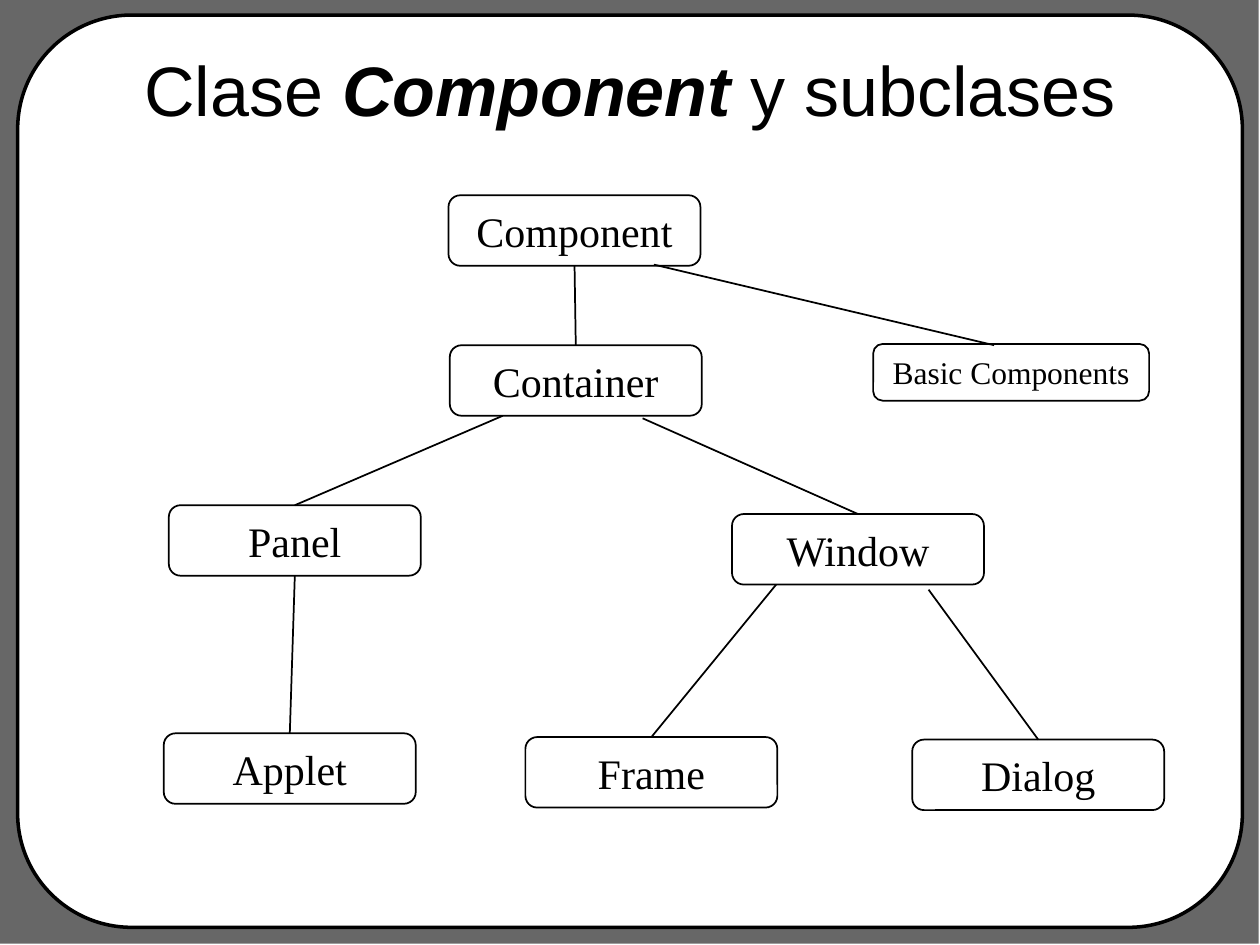
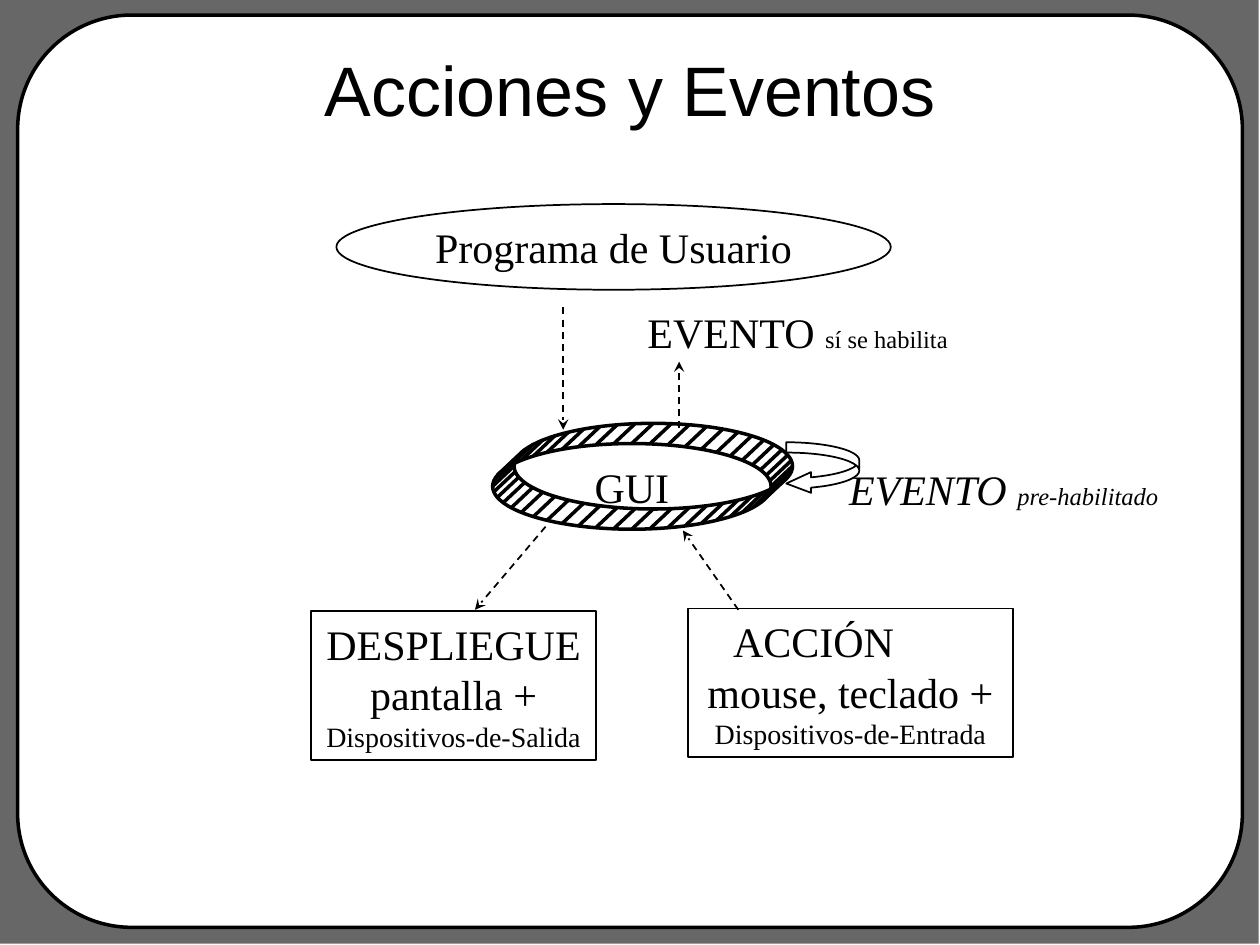
import math
from dataclasses import dataclass

import pptx
import pptx.dml.color
import pptx.enum.dml
import pptx.enum.shapes
import pptx.enum.text
import pptx.oxml
import pptx.oxml.ns
import pptx.util

Inches = pptx.util.Inches
Pt = pptx.util.Pt
SHAPE = pptx.enum.shapes.MSO_SHAPE
ALIGN = pptx.enum.text.PP_ALIGN
ANCHOR = pptx.enum.text.MSO_ANCHOR
TOP, BOTTOM = 0, 2  # connection sites


@dataclass(frozen=True)
class Theme:
    ink: str = "000000"
    paper: str = "FFFFFF"
    border: str = "676767"
    title_font: str = "Arial"
    body_font: str = "Times New Roman"
    title: int = 40
    body: int = 24
    label: int = 18
    detail: int = 16
    note: int = 14
    thin: float = 1
    thick: float = 2


def rgb(value):
    return pptx.dml.color.RGBColor.from_string(value)


def add_xml(parent, tag, **attributes):
    child = pptx.oxml.parse_xml(f"<a:{tag} {pptx.oxml.ns.nsdecls('a')}/>")
    for key, value in attributes.items():
        child.set(key, value)
    parent.append(child)
    return child


def write(paragraph, text, font, size, color, bold=False, italic=False):
    run = paragraph.add_run()
    run.text = text
    run.font.name = font
    run.font.size = Pt(size)
    run.font.bold = bold
    run.font.italic = italic
    run.font.color.rgb = rgb(color)


class Deck:
    def __init__(self, theme):
        self.theme = theme
        self.file = pptx.Presentation()
        self.file.slide_width, self.file.slide_height = Inches(10), Inches(7.5)
        self.slide = None

    def new_slide(self, *title_runs):
        """Start a slide; each title run is (text, emphasised)."""
        first = self.slide is None
        self.slide = self.file.slides.add_slide(self.file.slide_layouts[5])
        if first:
            self.frame_master()
        title = self.slide.shapes.title
        title.left, title.top = Inches(0.75), Inches(0.08)
        title.width, title.height = Inches(8.5), Inches(1.25)
        title.text_frame.vertical_anchor = ANCHOR.MIDDLE
        heading = title.text_frame.paragraphs[0]
        heading.alignment = ALIGN.CENTER
        for text, strong in title_runs:
            write(heading, text, self.theme.title_font, self.theme.title,
                  self.theme.ink, bold=strong, italic=strong)

    def frame_master(self):
        """Build the grey border and white panel once, on the slide master."""
        t = self.theme
        border = self.shape(SHAPE.RECTANGLE, 0, 0, 9.99, 7.49, fill=t.border, line=None)
        panel = self.shape(SHAPE.ROUNDED_RECTANGLE, 0.14, 0.12, 9.72, 7.24,
                           fill=t.paper, line=t.thick, adjust=(0.125,))
        tree = self.file.slide_master.shapes.element
        for order, part in enumerate((border, panel)):
            part.element.xpath(".//p:cNvPr")[0].set("id", str(100 + order))
            tree.insert(2 + order, part.element)

    def outline(self, shape, fill=None, line=1):
        shape.shadow.inherit = False
        if fill:
            shape.fill.solid()
            shape.fill.fore_color.rgb = rgb(fill)
        else:
            shape.fill.background()
        if line:
            shape.line.color.rgb = rgb(self.theme.ink)
            shape.line.width = Pt(line)
        else:
            shape.line.fill.background()

    def shape(self, kind, x, y, w, h, fill=None, line=1, adjust=()):
        shape = self.slide.shapes.add_shape(kind, Inches(x), Inches(y), Inches(w), Inches(h))
        for index, value in enumerate(adjust):
            shape.adjustments[index] = value
        self.outline(shape, fill, line)
        return shape

    def fill_text(self, shape, lines, align=ALIGN.CENTER, italic=False, indents=()):
        """Each line is a list of (text, size) runs; indented lines go left."""
        frame = shape.text_frame
        frame.word_wrap = True
        for index, runs in enumerate(lines):
            paragraph = frame.paragraphs[0] if index == 0 else frame.add_paragraph()
            paragraph.alignment = align
            properties = paragraph._p.get_or_add_pPr()
            if index == 0:
                add_xml(add_xml(properties, "spcBef"), "spcPct", val="50000")
            if index < len(indents):
                paragraph.alignment = ALIGN.LEFT
                properties.set("marL", str(Inches(indents[index])))
            for text, size in runs:
                write(paragraph, text, self.theme.body_font, size, self.theme.ink,
                      italic=italic)

    def box(self, kind, x, y, w, h, *lines, indents=()):
        box = self.shape(kind, x, y, w, h, line=self.theme.thin)
        self.fill_text(box, lines, indents=indents)
        return box

    def caption(self, x, y, w, *runs, italic=False):
        caption = self.slide.shapes.add_textbox(Inches(x), Inches(y), Inches(w), Inches(0.5))
        self.fill_text(caption, [runs], align=ALIGN.LEFT, italic=italic)

    def link(self, start, end, arrow=False):
        """Join two ends, each a point (x, y) or a (shape, site) pair."""
        points = [(0, 0) if hasattr(a, "shape_id") else (Inches(a), Inches(b))
                  for a, b in (start, end)]
        line = self.slide.shapes.add_connector(
            pptx.enum.shapes.MSO_CONNECTOR.STRAIGHT, *points[0], *points[1])
        for (target, site), join in ((start, line.begin_connect), (end, line.end_connect)):
            if hasattr(target, "shape_id"):
                join(target, site)
        line.line.color.rgb = rgb(self.theme.ink)
        line.line.width = Pt(self.theme.thin)
        if arrow:
            line.line.dash_style = pptx.enum.dml.MSO_LINE.DASH
            add_xml(line.line._get_or_add_ln(), "tailEnd", type="stealth")
        add_xml(line.element.spPr, "effectLst")

    def ring(self, x, y, w, h, dx, dy, strokes=48):
        """Two shifted ellipses whose wall is hatched at equal angles."""
        wall = None
        for step in range(strokes):
            angle = 2 * math.pi * step / strokes
            px = x + w / 2 * (1 + math.cos(angle))
            py = y + h / 2 * (1 + math.sin(angle))
            near = Inches(px), Inches(py)
            if wall is None:
                wall = self.slide.shapes.build_freeform(*near)
            else:
                wall.move_to(*near)
            wall.add_line_segments([(Inches(px + dx), Inches(py + dy))], close=False)
        self.outline(wall.convert_to_shape(), line=self.theme.thick)
        self.shape(SHAPE.OVAL, x + dx, y + dy, w, h, line=self.theme.thick)
        return self.shape(SHAPE.OVAL, x, y, w, h, line=self.theme.thick)


def component_slide(deck):
    t = deck.theme
    deck.new_slide(("Clase ", False), ("Component", True), (" y subclases", False))

    # Class boxes
    def class_box(name, x, y, w=2, h=0.56, size=t.body):
        return deck.box(SHAPE.ROUNDED_RECTANGLE, x, y, w, h, [(name, size)])

    component = class_box("Component", 3.56, 1.55)
    container = class_box("Container", 3.57, 2.74)
    window = class_box("Window", 5.81, 4.08)
    panel = class_box("Panel", 1.34, 4.01)
    frame = class_box("Frame", 4.17, 5.85)
    dialog = class_box("Dialog", 7.24, 5.87)
    applet = class_box("Applet", 1.3, 5.82)
    class_box("Basic Components", 6.93, 2.73, 2.19, 0.45, t.label)

    # Inheritance lines
    for parent, child in (
        ((component, BOTTOM), (container, TOP)),
        ((3.99, 3.3), (panel, TOP)),
        ((5.1, 3.32), (window, TOP)),
        ((panel, BOTTOM), (applet, TOP)),
        ((6.16, 4.64), (frame, TOP)),
        ((7.37, 4.68), (dialog, TOP)),
        ((5.19, 2.1), (7.89, 2.74)),
    ):
        deck.link(parent, child)


def events_slide(deck):
    t = deck.theme
    deck.new_slide(("Acciones y Eventos", False))

    # User program and the GUI ring
    deck.box(SHAPE.OVAL, 2.67, 1.62, 4.4, 0.68, [("Programa de Usuario", t.body)])
    gui = deck.ring(3.91, 3.52, 2.21, 0.68, dx=0.17, dy=-0.16)
    deck.fill_text(gui, [[("GUI", t.body)]])

    # Output and input devices
    deck.box(SHAPE.RECTANGLE, 2.47, 4.85, 2.26, 1.18, [("DESPLIEGUE", t.body)],
             [("pantalla +", t.body)], [("Dispositivos-de-Salida", t.detail)])
    deck.box(SHAPE.RECTANGLE, 5.46, 4.83, 2.58, 1.18, [("ACCIÓN", t.body)],
             [("mouse, teclado +", t.body)], [("Dispositivos-de-Entrada", t.detail)],
             indents=(0.26,))

    # Message flow
    for start, end in (
        ((4.47, 2.44), (4.47, 3.41)),
        ((5.39, 3.4), (5.39, 2.87)),
        ((4.33, 4.18), (3.77, 4.84)),
        ((5.86, 4.84), (5.42, 4.21)),
    ):
        deck.link(start, end, arrow=True)
    deck.shape(SHAPE.CURVED_LEFT_ARROW, 6.24, 3.51, 0.58, 0.41, adjust=(0.2, 0.4, 0.48))

    # Event captions
    deck.caption(5.04, 2.38, 2.69, ("EVENTO ", t.body), ("sí se habilita", t.note))
    deck.caption(6.64, 3.63, 2.76, ("EVENTO ", t.body), ("pre-habilitado", t.note),
                 italic=True)


def main():
    deck = Deck(Theme())
    component_slide(deck)
    events_slide(deck)
    deck.file.save("out.pptx")


if __name__ == "__main__":
    main()
